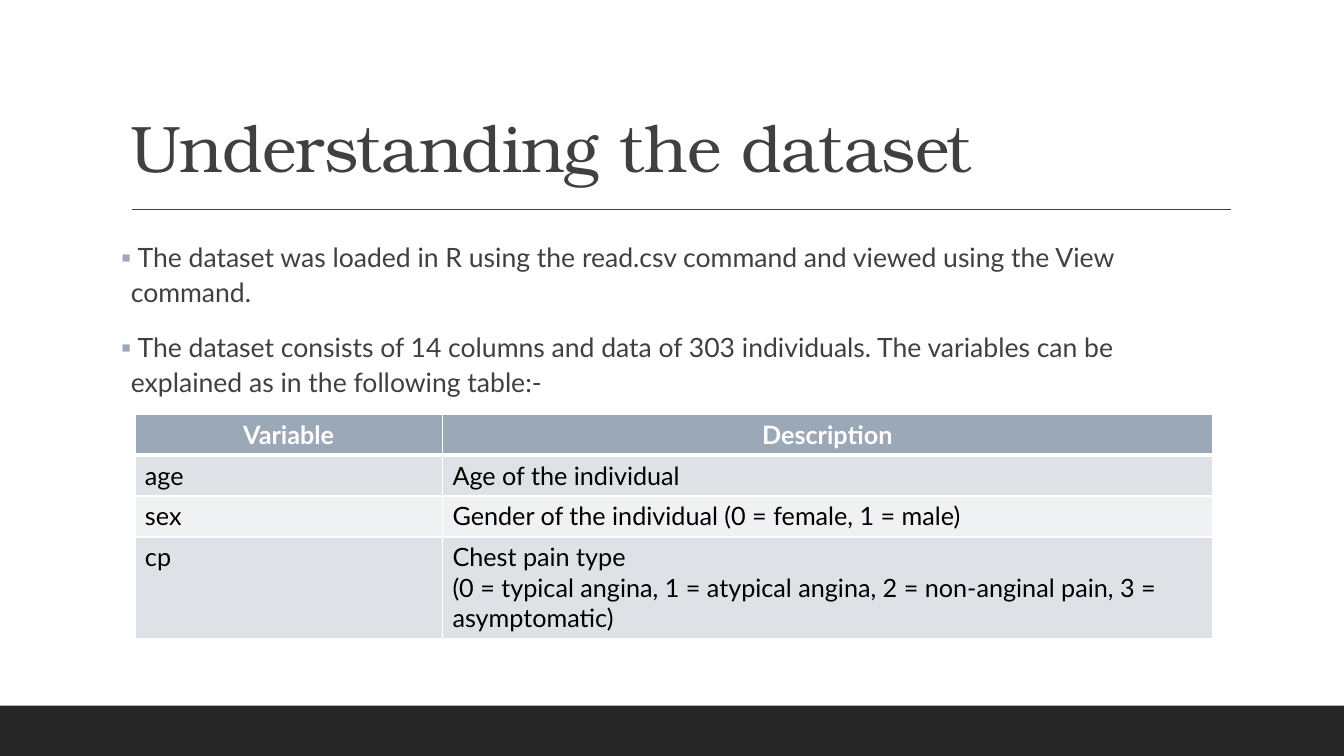
from lxml.etree import SubElement
from pptx import Presentation
from pptx.dml.color import RGBColor
from pptx.enum.shapes import MSO_CONNECTOR, MSO_SHAPE
from pptx.enum.text import MSO_ANCHOR, PP_ALIGN
from pptx.oxml import parse_xml
from pptx.oxml.ns import nsdecls, qn
from pptx.util import Cm, Pt

COLORS = {
    "text": "404040",
    "footer": "262626",
    "accent": "9BA8B7",
    "band_dark": "DEE1E6",
    "band_light": "EFF1F3",
    "white": "FFFFFF",
    "black": "000000",
}
TITLE_FONT, BODY_FONT = "TeX Gyre Bonum", "Lato"
SLIDE_WIDTH, SLIDE_HEIGHT = 33.87, 19.05
FOOTER_HEIGHT = 1.27

POINTS = [
    " The dataset was loaded in R using the read.csv command and viewed using the View command.",
    " The dataset consists of 14 columns and data of 303 individuals. "
    "The variables can be explained as in the following table:-",
]
VARIABLES = [
    ("Variable", "Description"),
    ("age", "Age of the individual"),
    ("sex", "Gender of the individual (0 = female, 1 = male)"),
    ("cp", "Chest pain type\n(0 = typical angina, 1 = atypical angina, "
           "2 = non-anginal pain, 3 = asymptomatic)"),
]
COLUMN_WIDTHS = [7.75, 19.4]
ROW_HEIGHTS = [1.03, 1.03, 1.03, 2.55]


def rgb(name):
    return RGBColor.from_string(COLORS[name])


def style_runs(paragraph, font_name, size, color, bold=False):
    for run in paragraph.runs:
        run.font.name = font_name
        run.font.size = Pt(size)
        run.font.bold = bold
        run.font.color.rgb = rgb(color)


def add_footer_bar(slide, left, top, width, height):
    bar = slide.shapes.add_shape(
        MSO_SHAPE.RECTANGLE, Cm(left), Cm(top), Cm(width), Cm(height))
    bar.shadow.inherit = False
    bar.fill.solid()
    bar.fill.fore_color.rgb = rgb("footer")
    bar.line.fill.background()


def add_heading(slide, left, top, width, height):
    """Title at the bottom of its box, with a rule beneath it."""
    title = slide.shapes.add_textbox(Cm(left), Cm(top), Cm(width), Cm(height))
    frame = title.text_frame
    frame.word_wrap = True
    frame.vertical_anchor = MSO_ANCHOR.BOTTOM
    frame.text = "Understanding the dataset"
    paragraph = frame.paragraphs[0]
    paragraph.line_spacing = 0.9
    style_runs(paragraph, TITLE_FONT, 47, "text")
    paragraph.runs[0].font._element.set("spc", "-50")

    rule_left, rule_top = left + 0.28, top + height + 0.45
    rule = slide.shapes.add_connector(
        MSO_CONNECTOR.STRAIGHT, Cm(rule_left), Cm(rule_top),
        Cm(rule_left + 27.68), Cm(rule_top))
    rule.line.color.rgb = rgb("text")
    rule.line.width = Pt(1)
    SubElement(rule._element.spPr, qn("a:effectLst"))


def add_bullet(paragraph):
    properties = paragraph._p.get_or_add_pPr()
    properties.set("marL", str(Cm(0.25)))
    properties.set("indent", str(-Cm(0.25)))
    color = SubElement(properties, qn("a:buClr"))
    SubElement(color, qn("a:srgbClr"), val=COLORS["accent"])
    SubElement(properties, qn("a:buFont"), typeface=BODY_FONT)
    SubElement(properties, qn("a:buChar"), char="▪")


def add_points(slide, left, top, width, height):
    body = slide.shapes.add_textbox(Cm(left), Cm(top), Cm(width), Cm(height))
    frame = body.text_frame
    frame.word_wrap = True
    frame.margin_left = frame.margin_right = 0
    frame.text = "\n".join(POINTS)
    for index, paragraph in enumerate(frame.paragraphs):
        add_bullet(paragraph)
        paragraph.line_spacing = 1.1
        paragraph.space_before = Pt(12 if index else 0)
        paragraph.space_after = Pt(2)
        style_runs(paragraph, BODY_FONT, 19, "text")


def set_borders(cell, widths):
    """Draw white borders; widths maps each side (L, R, T, B) to points."""
    properties = cell._tc.get_or_add_tcPr()
    for position, side in enumerate("LRTB"):
        properties.insert(position, parse_xml(
            f'<a:ln{side} {nsdecls("a")} w="{Pt(widths[side])}"><a:solidFill>'
            f'<a:srgbClr val="{COLORS["white"]}"/></a:solidFill></a:ln{side}>'))


def add_variable_table(slide, left, top):
    table = slide.shapes.add_table(
        len(VARIABLES), len(COLUMN_WIDTHS), Cm(left), Cm(top),
        Cm(sum(COLUMN_WIDTHS)), Cm(sum(ROW_HEIGHTS))).table
    for column, width in zip(table.columns, COLUMN_WIDTHS):
        column.width = Cm(width)
    for row_index, (row, texts) in enumerate(zip(table.rows, VARIABLES)):
        row.height = Cm(ROW_HEIGHTS[row_index])
        header = row_index == 0
        band = "accent" if header else ("band_light", "band_dark")[row_index % 2]
        for cell, text in zip(row.cells, texts):
            cell.text_frame.text = text
            cell.fill.solid()
            cell.fill.fore_color.rgb = rgb(band)
            set_borders(cell, {"L": 1, "R": 1, "T": 3 if row_index == 1 else 1,
                               "B": 3 if header else 1})
            for paragraph in cell.text_frame.paragraphs:
                paragraph.alignment = PP_ALIGN.CENTER if header else PP_ALIGN.LEFT
                style_runs(paragraph, BODY_FONT, 18,
                           "white" if header else "black", header)


def main():
    presentation = Presentation()
    presentation.slide_width = Cm(SLIDE_WIDTH)
    presentation.slide_height = Cm(SLIDE_HEIGHT)
    slide = presentation.slides.add_slide(presentation.slide_layouts[6])
    add_footer_bar(slide, 0, SLIDE_HEIGHT - FOOTER_HEIGHT, SLIDE_WIDTH, FOOTER_HEIGHT)
    add_heading(slide, 3.05, 0.79, 27.94, 4.04)
    add_points(slide, 3.05, 5.87, 27.94, 10.44)
    add_variable_table(slide, 3.4, 10.44)
    presentation.save("out.pptx")


if __name__ == "__main__":
    main()
